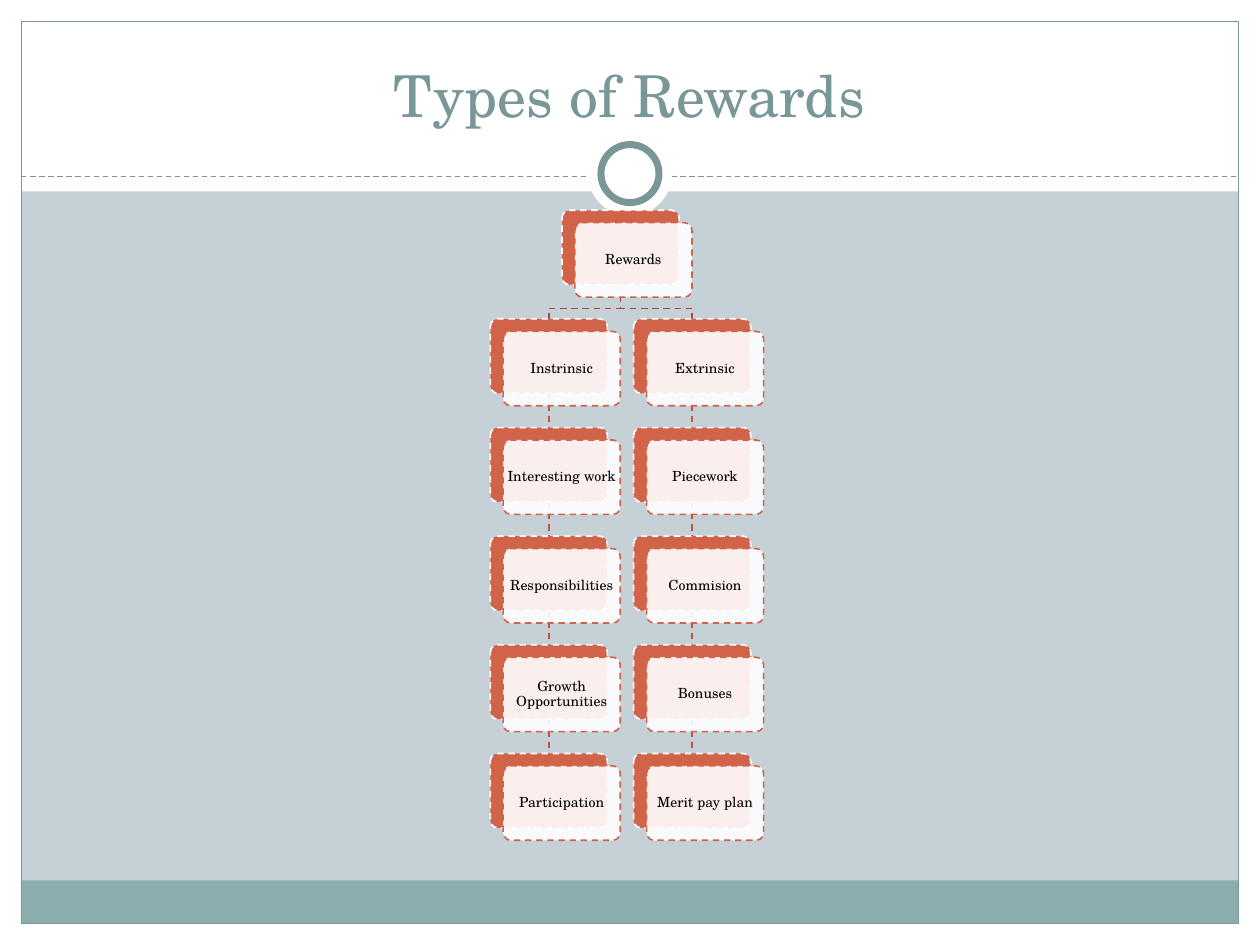
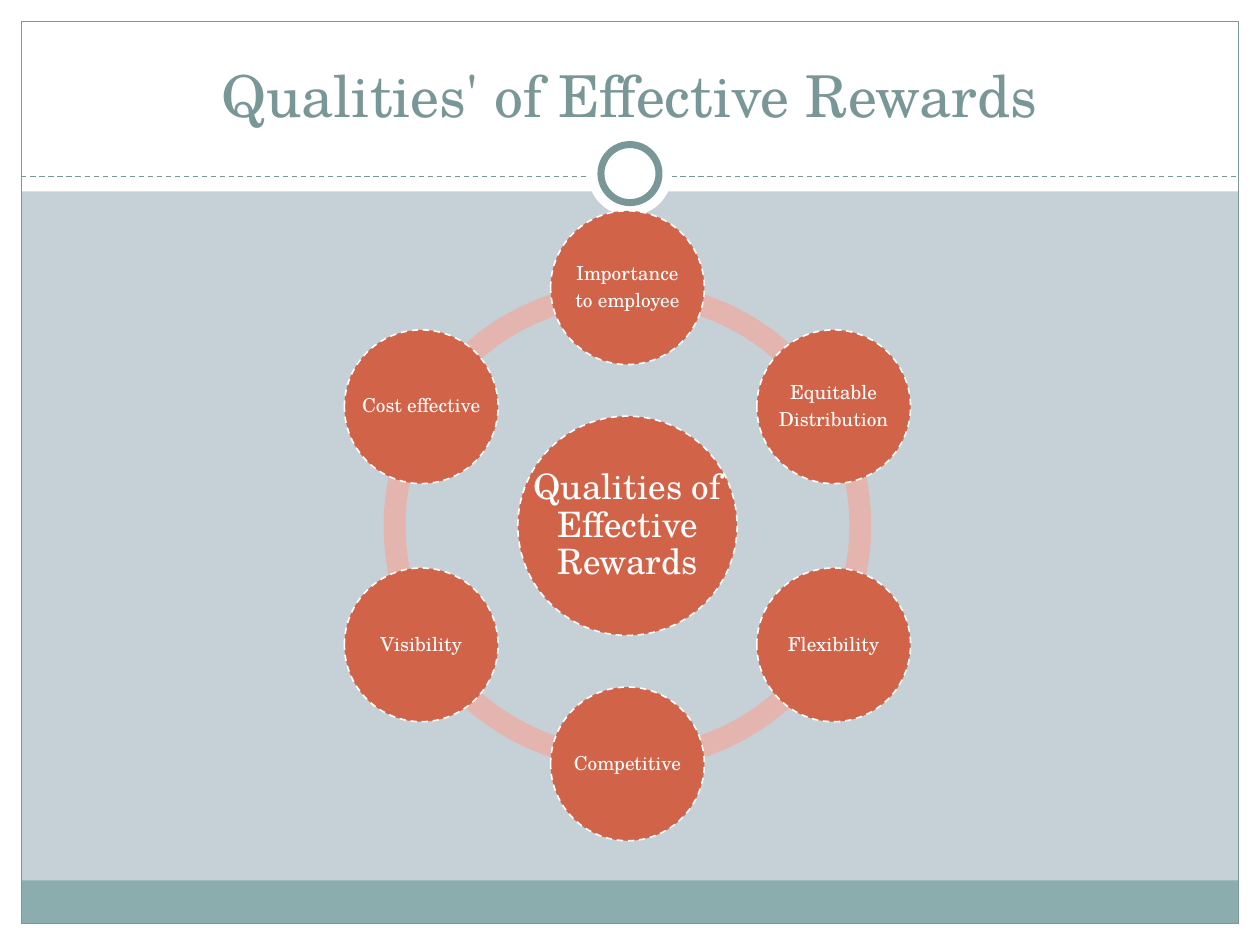
from math import cos, radians, sin

from lxml import etree
from pptx import Presentation
from pptx.dml.color import RGBColor
from pptx.enum.dml import MSO_LINE
from pptx.enum.shapes import MSO_CONNECTOR, MSO_SHAPE
from pptx.enum.text import MSO_ANCHOR, PP_ALIGN
from pptx.oxml.ns import qn
from pptx.util import Cm, Pt

RECTANGLE = MSO_SHAPE.RECTANGLE
ROUNDED = MSO_SHAPE.ROUNDED_RECTANGLE
OVAL = MSO_SHAPE.OVAL
ARC = MSO_SHAPE.BLOCK_ARC
STRAIGHT = MSO_CONNECTOR.STRAIGHT
DASH = MSO_LINE.DASH
MIDDLE, BOTTOM = MSO_ANCHOR.MIDDLE, MSO_ANCHOR.BOTTOM
CENTER = PP_ALIGN.CENTER

# Content
TREE_TITLE = "Types of Rewards"
TREE_ROOT = "Rewards"
TREE_BRANCHES = [
    ["Instrinsic", "Interesting work", "Responsibilities",
     "Growth Opportunities", "Participation"],
    ["Extrinsic", "Piecework", "Commision", "Bonuses", "Merit pay plan"],
]
CYCLE_TITLE = "Qualities' of Effective Rewards"
CYCLE_HUB = "Qualities of Effective Rewards"
CYCLE_NODES = [  # clockwise from the top, one entry per paragraph
    ["Importance", "to employee"],
    ["Equitable", "Distribution"],
    ["Flexibility"],
    ["Competitive"],
    ["Visibility"],
    ["Cost effective"],
]

# Style
FONT = "TeX Gyre Schola"
COLORS = {
    "background": "C5D1D7",
    "white": "FFFFFF",
    "black": "000000",
    "band": "8CADAE",
    "frame": "7A9798",
    "accent": "D16349",
    "stem": "BC573E",
    "fork": "A54B36",
    "ring": "E3B5AE",
}
THIN, DIAGRAM_LINE, RING_LINE = 0.75, 0.9, 4

# Geometry in centimetres
WIDTH, HEIGHT = 25.4, 19.05
MARGIN = 0.43
HEADER_HEIGHT, RULE_Y = 3.86, 3.56
FOOTER_HEIGHT = 0.87
MEDALLION_Y, HALO, MEDALLION = 3.5, 1.7, 1.17
DIAGRAM_X, DIAGRAM_TOP = 12.65, 4.24

CARD_WIDTH, CARD_HEIGHT = 2.36, 1.5
CARD_SHIFT = 0.26, 0.25
COLUMN_PITCH, ROW_PITCH = 2.89, 2.19
TREE_X = 12.51
FORK_Y = 6.22

CYCLE_Y, CYCLE_RADIUS = 10.6, 4.8
NODE, HUB, RING = 3.1, 4.42, 9.83
RING_ARCS = [(18 + 36 * i, 54 + 36 * i) for i in range(5)] + [(198, 18)]
RING_THICKNESS = 0.045


def rgb(name):
    return RGBColor.from_string(COLORS[name])


def style_line(line, color, width, dashed=False):
    line.color.rgb = rgb(color)
    line.width = Pt(width)
    if dashed:
        line.dash_style = DASH


def add_figure(slide, kind, box, fill=None, line=None, width=DIAGRAM_LINE,
               dashed=False):
    shape = slide.shapes.add_shape(kind, *map(Cm, box))
    shape.shadow.inherit = False
    if fill:
        shape.fill.solid()
        shape.fill.fore_color.rgb = rgb(fill)
    else:
        shape.fill.background()
    if line:
        style_line(shape.line, line, width, dashed)
    else:
        shape.line.fill.background()
    return shape


def add_dashed_line(slide, start, end, color, width):
    connector = slide.shapes.add_connector(STRAIGHT, *map(Cm, start + end))
    style_line(connector.line, color, width, dashed=True)
    etree.SubElement(connector.element.spPr, qn("a:effectLst"))


def set_opacity(shape, percent):
    color = shape.fill._xPr.find(qn("a:solidFill"))[0]
    etree.SubElement(color, qn("a:alpha"), val=str(percent * 1000))


def square(x, y, side):
    """Box of the given side centred on x, y."""
    return x - side / 2, y - side / 2, side, side


def write(shape, paragraphs, size, color, wrap=True, inset=(0.02, 0.02),
          anchor=MIDDLE, line_spacing=0.9):
    frame = shape.text_frame
    frame.word_wrap = wrap
    frame.vertical_anchor = anchor
    frame.margin_left = frame.margin_right = Cm(inset[0])
    frame.margin_top = frame.margin_bottom = Cm(inset[1])
    for index, text in enumerate(paragraphs):
        paragraph = frame.add_paragraph() if index else frame.paragraphs[0]
        paragraph.text = text
        paragraph.alignment = CENTER
        paragraph.line_spacing = line_spacing
        if index:
            paragraph.space_before = Pt(3.9)
        paragraph.font.name = FONT
        paragraph.font.size = Pt(size)
        paragraph.font.color.rgb = rgb(color)


def add_themed_slide(presentation, title):
    slide = presentation.slides.add_slide(presentation.slide_layouts[6])
    slide.background.fill.solid()
    slide.background.fill.fore_color.rgb = rgb("background")

    inner_width = WIDTH - 2 * MARGIN
    bottom, right = HEIGHT - MARGIN, WIDTH - MARGIN
    for box in [(0, bottom, WIDTH, MARGIN), (0, 0, WIDTH, HEADER_HEIGHT),
                (0, 0, MARGIN, HEIGHT), (right, 0, MARGIN, HEIGHT)]:
        add_figure(slide, RECTANGLE, box, "white")
    add_figure(slide, RECTANGLE,
               (MARGIN, bottom - FOOTER_HEIGHT, inner_width, FOOTER_HEIGHT),
               "band")
    add_figure(slide, RECTANGLE,
               (MARGIN, MARGIN, inner_width, HEIGHT - 2 * MARGIN),
               line="frame", width=THIN)
    add_dashed_line(slide, (MARGIN, RULE_Y), (right, RULE_Y), "frame", THIN)
    add_figure(slide, OVAL, square(WIDTH / 2, MEDALLION_Y, HALO), "white")
    add_figure(slide, OVAL, square(WIDTH / 2, MEDALLION_Y, MEDALLION),
               "white", "frame", RING_LINE)

    heading = slide.shapes.add_textbox(Cm(0.84), Cm(0.64), Cm(23.7), Cm(2.1))
    write(heading, [title], 33, "frame", inset=(0.25, 0.13), anchor=BOTTOM,
          line_spacing=1)
    return slide


def add_card(slide, center_x, top, text):
    """Accent card with a translucent, labelled card shifted in front."""
    left = center_x - CARD_WIDTH / 2
    back = add_figure(slide, ROUNDED, (left, top, CARD_WIDTH, CARD_HEIGHT),
                      "accent", "white", dashed=True)
    front = add_figure(slide, ROUNDED,
                       (left + CARD_SHIFT[0], top + CARD_SHIFT[1],
                        CARD_WIDTH, CARD_HEIGHT),
                       "white", "accent", dashed=True)
    for card in (back, front):
        card.adjustments[0] = 0.1
    set_opacity(front, 90)
    write(front, [text], 8, "black")


def add_fork(slide, points):
    start, *rest = [(Cm(x), Cm(y)) for x, y in points]
    builder = slide.shapes.build_freeform(*start)
    builder.add_line_segments(rest, close=False)
    fork = builder.convert_to_shape()
    fork.shadow.inherit = False
    fork.fill.background()
    style_line(fork.line, "fork", DIAGRAM_LINE, dashed=True)


def build_tree(presentation):
    slide = add_themed_slide(presentation, TREE_TITLE)
    rows = [DIAGRAM_TOP + ROW_PITCH * i
            for i in range(len(TREE_BRANCHES[0]) + 1)]
    columns = [TREE_X + COLUMN_PITCH * (i - (len(TREE_BRANCHES) - 1) / 2)
               for i in range(len(TREE_BRANCHES))]

    for x in columns:
        add_fork(slide, [(TREE_X, rows[0] + CARD_HEIGHT), (TREE_X, FORK_Y),
                         (x, FORK_Y), (x, rows[1])])
        for upper, lower in zip(rows[1:], rows[2:]):
            add_dashed_line(slide, (x, upper + CARD_HEIGHT), (x, lower),
                            "stem", DIAGRAM_LINE)

    add_card(slide, TREE_X, rows[0], TREE_ROOT)
    for x, branch in zip(columns, TREE_BRANCHES):
        for top, text in zip(rows[1:], branch):
            add_card(slide, x, top, text)


def build_cycle(presentation):
    slide = add_themed_slide(presentation, CYCLE_TITLE)
    for start, end in RING_ARCS:
        arc = add_figure(slide, ARC, square(DIAGRAM_X, CYCLE_Y, RING), "ring")
        # Angles are stored in 1/60000 degree, adjustments in 1/100000
        arc.adjustments[0] = start * 0.6
        arc.adjustments[1] = end * 0.6
        arc.adjustments[2] = RING_THICKNESS

    hub_box = square(DIAGRAM_X, CYCLE_Y, HUB)
    add_figure(slide, OVAL, hub_box, "accent", "white", dashed=True)
    # A full-width box lets the hub label run wider than the oval's text area
    hub_label = slide.shapes.add_textbox(*map(Cm, hub_box))
    write(hub_label, [CYCLE_HUB], 20, "white", inset=(0.08, 0.08))

    for index, lines in enumerate(CYCLE_NODES):
        angle = radians(360 / len(CYCLE_NODES) * index)
        x = DIAGRAM_X + CYCLE_RADIUS * sin(angle)
        y = CYCLE_Y - CYCLE_RADIUS * cos(angle)
        node = add_figure(slide, OVAL, square(x, y, NODE), "accent", "white",
                          dashed=True)
        write(node, lines, 11, "white", wrap=False)


def main():
    presentation = Presentation()
    presentation.slide_width = Cm(WIDTH)
    presentation.slide_height = Cm(HEIGHT)
    build_tree(presentation)
    build_cycle(presentation)
    presentation.save("out.pptx")


if __name__ == "__main__":
    main()
